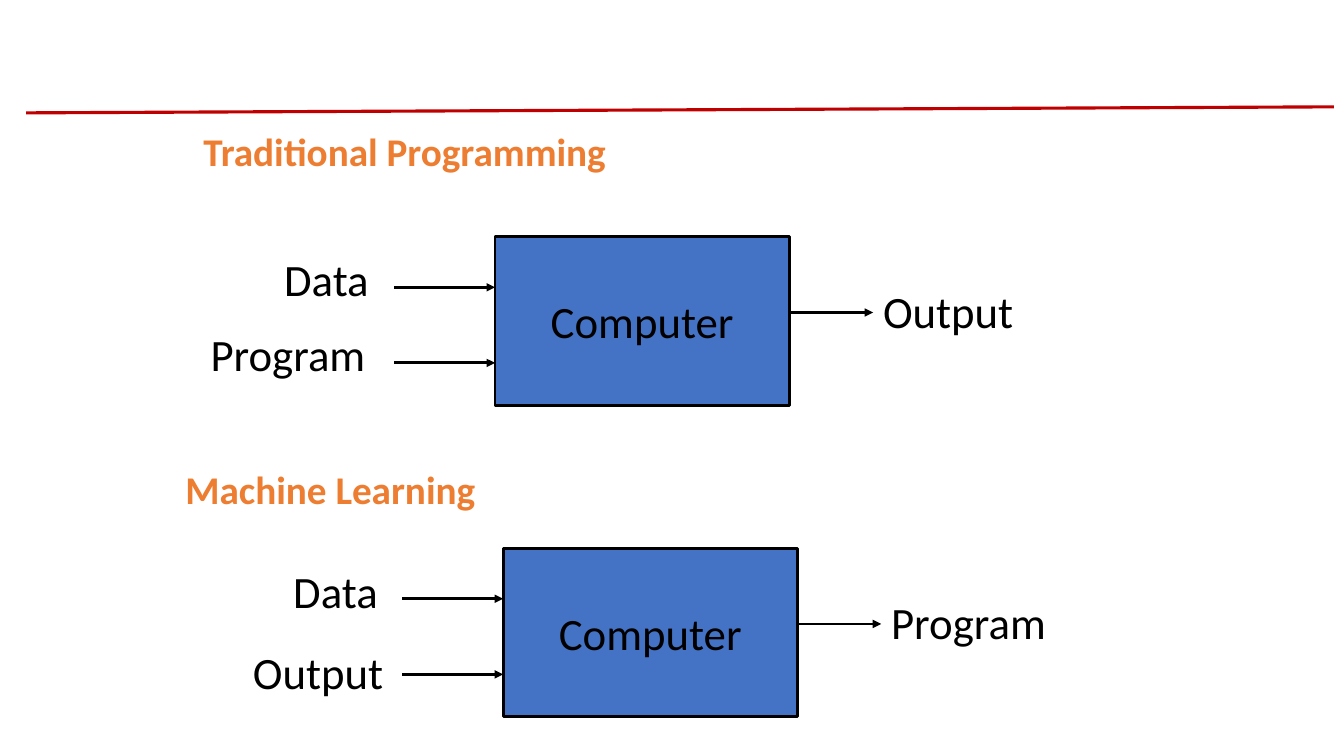
import pptx
import pptx.util
import pptx.dml.color
import pptx.enum.shapes
import pptx.enum.text
import pptx.oxml.ns
import lxml.etree

Inches = pptx.util.Inches
Pt = pptx.util.Pt
RGBColor = pptx.dml.color.RGBColor
qn = pptx.oxml.ns.qn

BLACK = RGBColor(0, 0, 0)
BLUE = RGBColor(0x44, 0x72, 0xC4)
ORANGE = RGBColor(0xED, 0x7D, 0x31)
RED = RGBColor(0xC0, 0, 0)

deck = pptx.Presentation()
deck.slide_width = Inches(13.33)
deck.slide_height = Inches(7.5)
slide = deck.slides.add_slide(deck.slide_layouts[6])


def add_line(x1, y1, x2, y2, color, width, arrow=False):
    line = slide.shapes.add_connector(
        pptx.enum.shapes.MSO_CONNECTOR.STRAIGHT,
        Inches(x1), Inches(y1), Inches(x2), Inches(y2))
    line.line.color.rgb = color
    line.line.width = Pt(width)
    if arrow:
        lxml.etree.SubElement(line.line._get_or_add_ln(), qn("a:tailEnd"), type="triangle")
    lxml.etree.SubElement(line._element.spPr, qn("a:effectLst"))


def set_text(shape, text, size, color, bold=False):
    frame = shape.text_frame
    frame.text = text
    frame.word_wrap = False
    font = frame.paragraphs[0].runs[0].font
    font.name = "Calibri"
    font.size = Pt(size)
    font.bold = bold
    font.color.rgb = color
    return frame


# Rule across the top
add_line(0.26, 1.12, 13.23, 1.06, RED, 2.25)

# Section headings
for text, left, top in [("Traditional Programming", 1.92, 1.27),
                        ("Machine Learning", 1.74, 4.62)]:
    head = slide.shapes.add_textbox(Inches(left), Inches(top), Inches(4.5), Inches(0.53))
    frame = set_text(head, text, 28, ORANGE, True)
    frame.word_wrap = True
    frame.paragraphs[0].line_spacing = 0.9

# Flow diagrams: box corner, then labels with their place relative to it
WIDE, HIGH = 2.92, 1.67
WIDTHS = {"Data": 1.14, "Program": 1.9, "Output": 1.53}
flows = [
    (4.91, 2.35, [("Data", -2.19, 0.1), ("Program", -2.92, 0.84), ("Output", 3.75, 0.42)]),
    (4.99, 5.44, [("Data", -2.18, 0.1), ("Output", -2.58, 0.91), ("Program", 3.75, 0.41)]),
]
for left, top, labels in flows:
    # Computer box
    box = slide.shapes.add_shape(
        pptx.enum.shapes.MSO_SHAPE.RECTANGLE,
        Inches(left), Inches(top), Inches(WIDE), Inches(HIGH))
    box.shadow.inherit = False
    box.fill.solid()
    box.fill.fore_color.rgb = BLUE
    box.line.color.rgb = BLACK
    box.line.width = Pt(2)
    frame = set_text(box, "Computer", 32, BLACK)
    frame.vertical_anchor = pptx.enum.text.MSO_ANCHOR.MIDDLE
    frame.paragraphs[0].alignment = pptx.enum.text.PP_ALIGN.CENTER

    # Two arrows in, one out
    for start, end, drop in [(-1, 0, 0.5), (-1, 0, 1.25), (WIDE, 3.75, 0.75)]:
        add_line(left + start, top + drop, left + end, top + drop, BLACK, 2, True)

    # Labels
    for text, right, down in labels:
        label = slide.shapes.add_textbox(
            Inches(left + right), Inches(top + down), Inches(WIDTHS[text]), Inches(0.63))
        frame = set_text(label, text, 32, BLACK)
        frame.auto_size = pptx.enum.text.MSO_AUTO_SIZE.SHAPE_TO_FIT_TEXT

deck.save("out.pptx")
